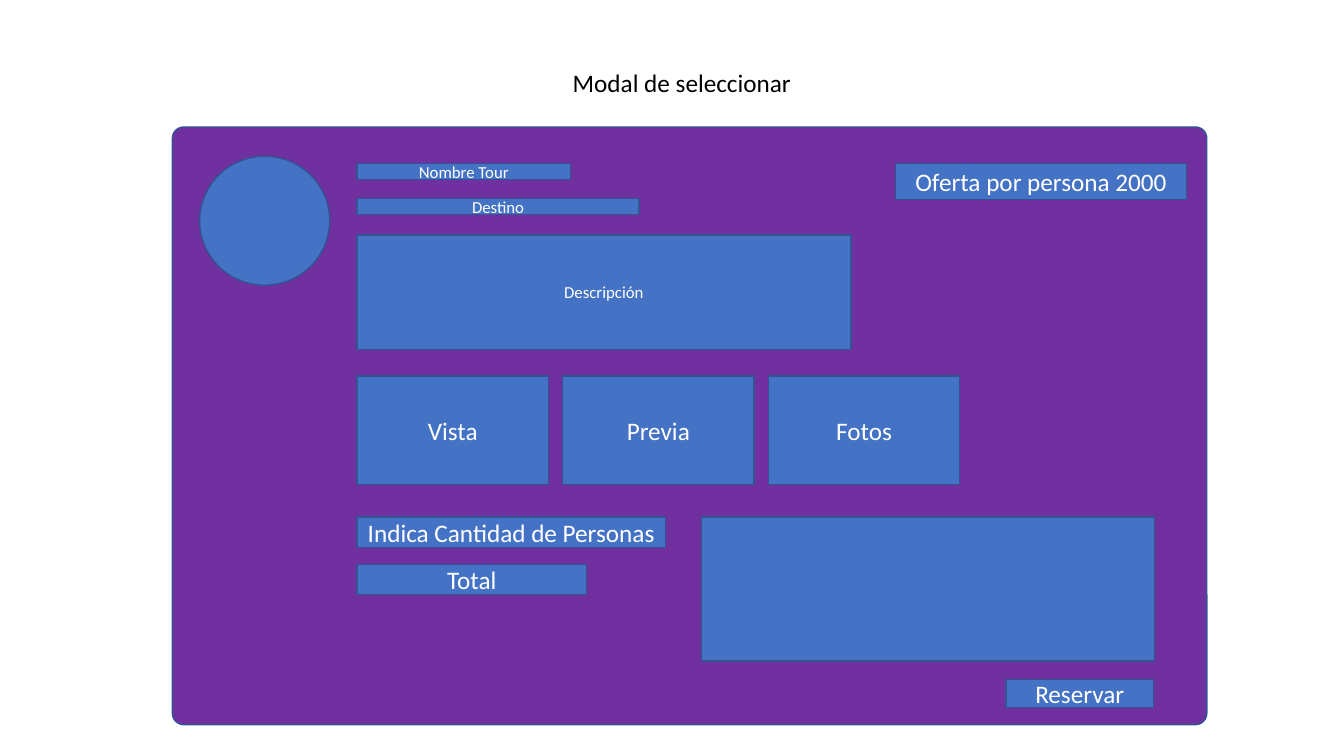
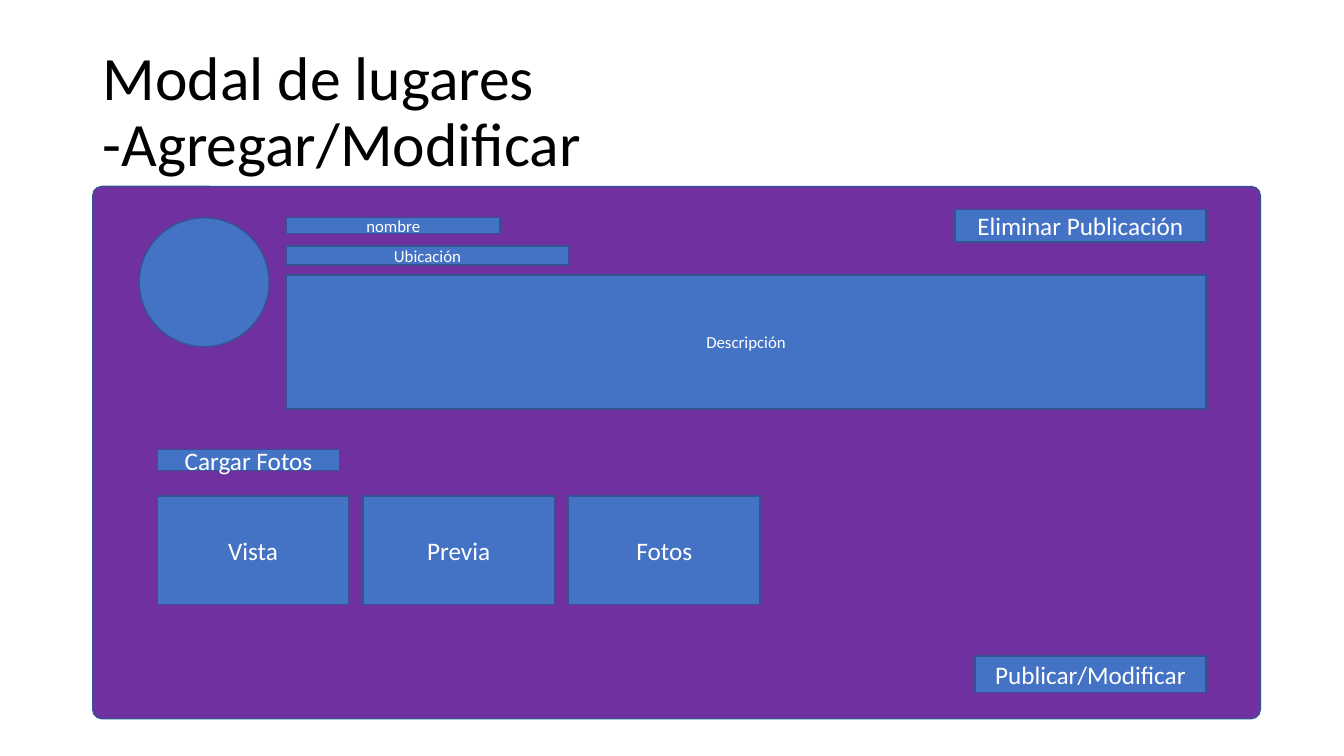
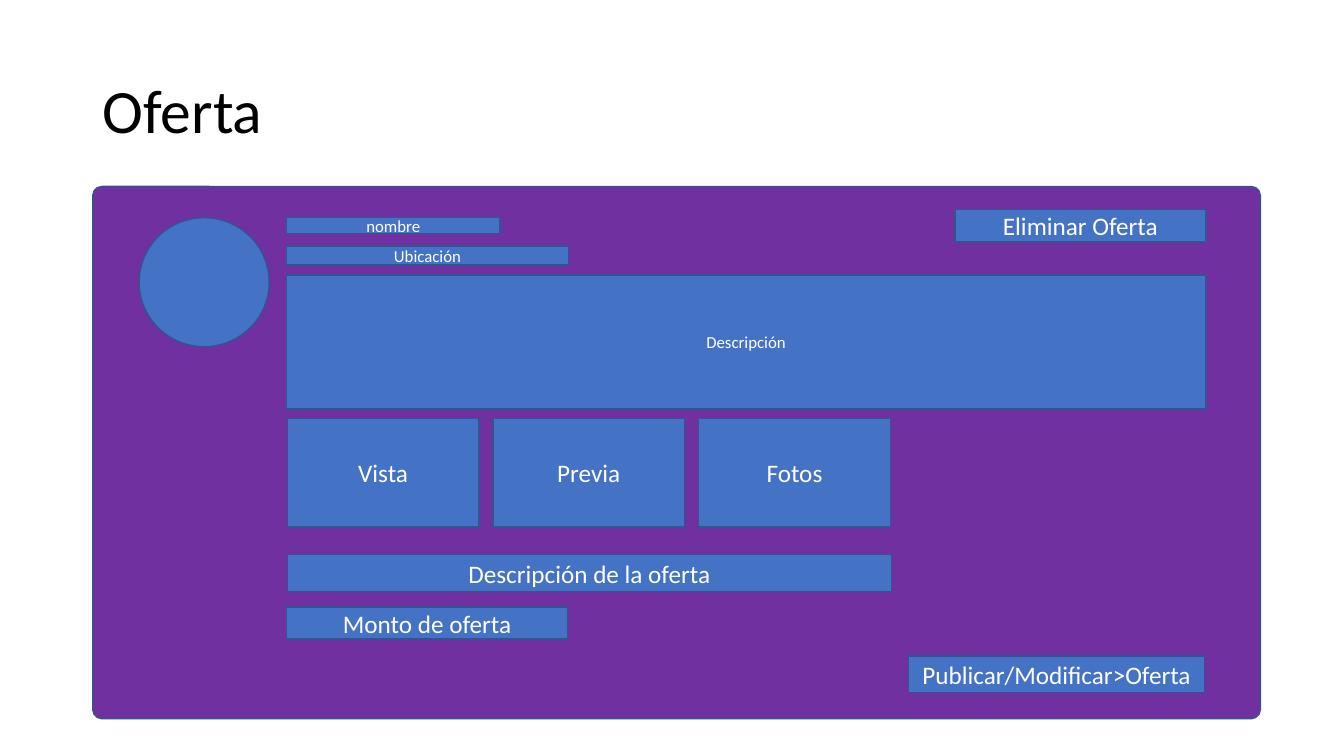
"""Build three wireframe slides for a tour booking site."""
import pptx
import pptx.util
import pptx.dml.color
import pptx.enum.shapes
import pptx.enum.text

Inches = pptx.util.Inches
RGBColor = pptx.dml.color.RGBColor
MSO_SHAPE = pptx.enum.shapes.MSO_SHAPE
PP_ALIGN = pptx.enum.text.PP_ALIGN
MSO_ANCHOR = pptx.enum.text.MSO_ANCHOR

PURPLE = RGBColor(0x70, 0x30, 0xA0)
BLUE = RGBColor(0x44, 0x72, 0xC4)
NAVY = RGBColor(0x32, 0x54, 0x91)
WHITE = RGBColor(0xFF, 0xFF, 0xFF)
BLACK = RGBColor(0x00, 0x00, 0x00)
FONT = "Calibri"
PHOTOS = ["Vista", "Previa", "Fotos"]
PHOTO_W, PHOTO_H, PHOTO_STEP = 1.9, 1.08, 2.04


def write(sp, text, size=18, color=WHITE, align=PP_ALIGN.CENTER,
          anchor=MSO_ANCHOR.MIDDLE, spacing=1.0, margin=0.05):
    tf = sp.text_frame
    tf.word_wrap = True
    tf.auto_size = pptx.enum.text.MSO_AUTO_SIZE.NONE
    tf.vertical_anchor = anchor
    tf.margin_left = tf.margin_right = Inches(margin)
    p = tf.paragraphs[0]
    p.text = text
    p.alignment = align
    p.line_spacing = spacing
    for r in p.runs:
        r.font.name = FONT
        r.font.size = pptx.util.Pt(size)
        r.font.color.rgb = color


def add_box(shapes, at, text="", size=18, kind=MSO_SHAPE.RECTANGLE, fill=BLUE, radius=None):
    sp = shapes.add_shape(kind, *[Inches(v) for v in at])
    sp.shadow.inherit = False
    sp.fill.solid()
    sp.fill.fore_color.rgb = fill
    sp.line.color.rgb = NAVY
    sp.line.width = pptx.util.Pt(1)
    if radius is not None:
        sp.adjustments[0] = radius
    if text:
        write(sp, text, size=size)


prs = pptx.Presentation()
prs.slide_width = Inches(13.33)
prs.slide_height = Inches(7.5)

HEADING = {"size": 44, "anchor": MSO_ANCHOR.MIDDLE, "spacing": 0.9}
CAPTION = {"size": 18, "anchor": MSO_ANCHOR.TOP, "spacing": 1.0}
HEADING_AT = (0.92, 0.4, 11.5, 1.45)
PANEL_AT = (0.92, 1.85, 11.58, 5.28)
AVATAR_AT = (1.38, 2.16, 1.29, 1.28)
PLACE_FIELDS = [
    ((2.84, 2.16, 2.12, 0.16), "nombre", 12),
    ((2.84, 2.44, 2.8, 0.19), "Ubicación", 12),
    ((2.84, 2.73, 9.12, 1.33), "Descripción", 12),
]
DELETE_AT = (9.47, 2.08, 2.49, 0.32)

screens = [
    {
        "title": "Modal de seleccionar", "title_at": (5.58, 0.62, 2.39, 0.4), "style": CAPTION,
        "panel": (1.71, 1.26, 10.26, 5.93), "radius": 0.019,
        "avatar": (1.98, 1.55, 1.29, 1.28), "photos": (3.54, 3.73),
        "fields": [
            ((3.54, 1.62, 2.12, 0.16), "Nombre Tour", 12),
            ((3.54, 1.97, 2.8, 0.16), "Destino", 12),
            ((3.54, 2.33, 4.9, 1.14), "Descripción", 12),
            ((9.98, 6.74, 1.46, 0.28), "Reservar", 18),
            ((3.54, 5.13, 3.06, 0.3), "Indica Cantidad de Personas", 18),
            ((3.54, 5.6, 2.28, 0.3), "Total", 18),
            ((6.96, 5.13, 4.49, 1.43), "", 18),
            ((8.88, 1.62, 2.89, 0.36), "Oferta por persona 2000", 18),
        ],
    },
    {
        "title": "Modal de lugares\v-Agregar/Modificar", "title_at": HEADING_AT, "style": HEADING,
        "panel": PANEL_AT, "radius": 0.017, "avatar": AVATAR_AT, "photos": (1.56, 4.92),
        "fields": PLACE_FIELDS + [
            ((1.56, 4.46, 1.81, 0.21), "Cargar Fotos", 18),
            ((9.67, 6.51, 2.29, 0.36), "Publicar/Modificar", 18),
            (DELETE_AT, "Eliminar Publicación", 18),
        ],
    },
    {
        "title": "Oferta", "title_at": HEADING_AT, "style": HEADING,
        "panel": PANEL_AT, "radius": 0.017, "avatar": AVATAR_AT, "photos": (2.85, 4.15),
        "fields": PLACE_FIELDS + [
            ((9.01, 6.51, 2.94, 0.36), "Publicar/Modificar>Oferta", 18),
            (DELETE_AT, "Eliminar Oferta", 18),
            ((2.84, 6.02, 2.79, 0.32), "Monto de oferta", 18),
            ((2.85, 5.5, 5.99, 0.37), "Descripción de la oferta", 18),
        ],
    },
]

for screen in screens:
    s = prs.slides.add_slide(prs.slide_layouts[5])
    title = s.shapes.title
    title.left, title.top, title.width, title.height = [Inches(v) for v in screen["title_at"]]
    write(title, screen["title"], color=BLACK, align=PP_ALIGN.LEFT, margin=0.1, **screen["style"])

    add_box(s.shapes, screen["panel"], kind=MSO_SHAPE.ROUNDED_RECTANGLE,
            fill=PURPLE, radius=screen["radius"])
    add_box(s.shapes, screen["avatar"], kind=MSO_SHAPE.OVAL)
    for at, text, size in screen["fields"]:
        add_box(s.shapes, at, text, size)
    left, top = screen["photos"]
    for i, text in enumerate(PHOTOS):
        add_box(s.shapes, (left + i * PHOTO_STEP, top, PHOTO_W, PHOTO_H), text)

prs.save("out.pptx")
